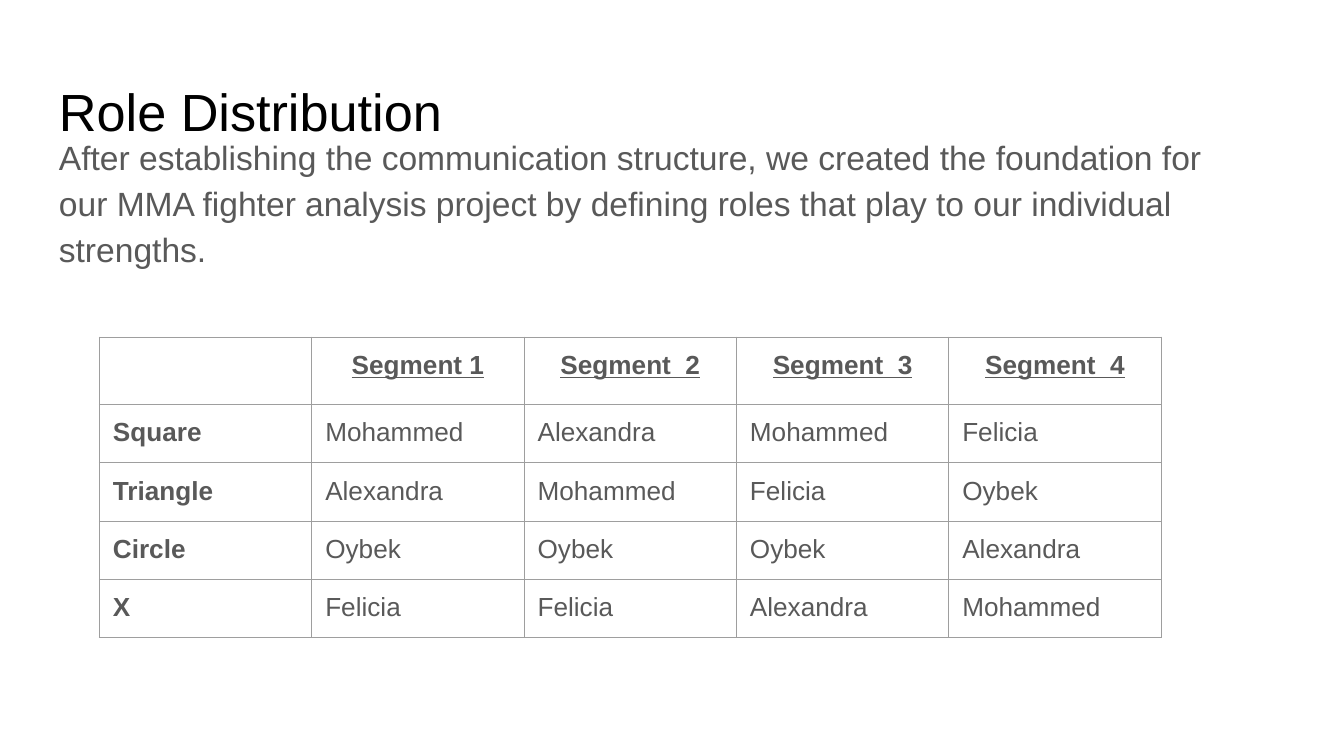
import pptx
import pptx.util
import pptx.dml.color
import pptx.enum.text
import pptx.oxml
import pptx.oxml.ns
from pptx.util import Inches

BLACK = pptx.dml.color.RGBColor(0x00, 0x00, 0x00)
GRAY = pptx.dml.color.RGBColor(0x59, 0x59, 0x59)
RULE = pptx.dml.color.RGBColor(0x9E, 0x9E, 0x9E)
FONT = "Arial"
PAD = Inches(0.1)
CENTER = pptx.enum.text.PP_ALIGN.CENTER
LEFT = pptx.enum.text.PP_ALIGN.LEFT

INTRO = ("After establishing the communication structure, we created the "
         "foundation for our MMA fighter analysis project by defining roles "
         "that play to our individual strengths.")
ROLES = [
    ["", "Segment 1", "Segment  2", "Segment  3", "Segment  4"],
    ["Square", "Mohammed", "Alexandra", "Mohammed", "Felicia"],
    ["Triangle", "Alexandra", "Mohammed", "Felicia", "Oybek"],
    ["Circle", "Oybek", "Oybek", "Oybek", "Alexandra"],
    ["X", "Felicia", "Felicia", "Alexandra", "Mohammed"],
]


def write(frame, text, size=14, color=GRAY, bold=False, line=False,
          align=LEFT, space=1.0, after=0):
    """Fill a text frame with one formatted paragraph."""
    frame.word_wrap = True
    para = frame.paragraphs[0]
    para.alignment = align
    para.line_spacing = space
    para.space_after = pptx.util.Pt(after)
    run = para.add_run()
    run.text = text
    font = run.font
    font.name, font.size = FONT, pptx.util.Pt(size)
    font.bold, font.underline = bold, line
    font.color.rgb = color


def add_text(slide, box, text, **style):
    """Place a padded text box."""
    frame = slide.shapes.add_textbox(*map(Inches, box)).text_frame
    frame.margin_left = frame.margin_right = PAD
    frame.margin_top = frame.margin_bottom = PAD
    write(frame, text, **style)


def rule_cell(cell):
    """Draw a thin line on all four sides of a cell."""
    props = cell._tc.get_or_add_tcPr()
    for i, side in enumerate(("lnL", "lnR", "lnT", "lnB")):
        props.insert(i, pptx.oxml.parse_xml(
            f'<a:{side} {pptx.oxml.ns.nsdecls("a")} w="{pptx.util.Pt(0.75)}">'
            f'<a:solidFill><a:srgbClr val="{RULE}"/></a:solidFill></a:{side}>'))


def add_roles(slide, box, wide, high):
    """Place the role table with equal columns and rows in its frame."""
    shape = slide.shapes.add_table(len(ROLES), len(ROLES[0]),
                                   *map(Inches, box))
    table = shape.table
    table.first_row = table.horz_banding = False
    for col in table.columns:
        col.width = Inches(wide)
    for r, names in enumerate(ROLES):
        table.rows[r].height = Inches(high)
        for c, name in enumerate(names):
            cell = table.cell(r, c)
            cell.fill.background()
            cell.margin_left = cell.margin_right = PAD
            cell.margin_top = cell.margin_bottom = PAD
            rule_cell(cell)
            if name:
                write(cell.text_frame, name, bold=r == 0 or c == 0,
                      line=r == 0, align=LEFT if r else CENTER)
    shape.width, shape.height = map(Inches, box[2:])


def main():
    deck = pptx.Presentation()
    deck.slide_width = Inches(10)
    deck.slide_height = deck.slide_width * 9 // 16
    slide = deck.slides.add_slide(deck.slide_layouts[6])
    # Title
    add_text(slide, (0.34, 0.49, 9.32, 0.63), "Role Distribution",
             size=28, color=BLACK)
    # Table of roles
    add_roles(slide, (0.74, 2.51, 3.28, 3.28), wide=1.58, high=0.42)
    # Introduction
    add_text(slide, (0.34, 0.87, 9.13, 1.25), INTRO, size=18,
             space=1.15, after=12)
    deck.save("out.pptx")


if __name__ == "__main__":
    main()
